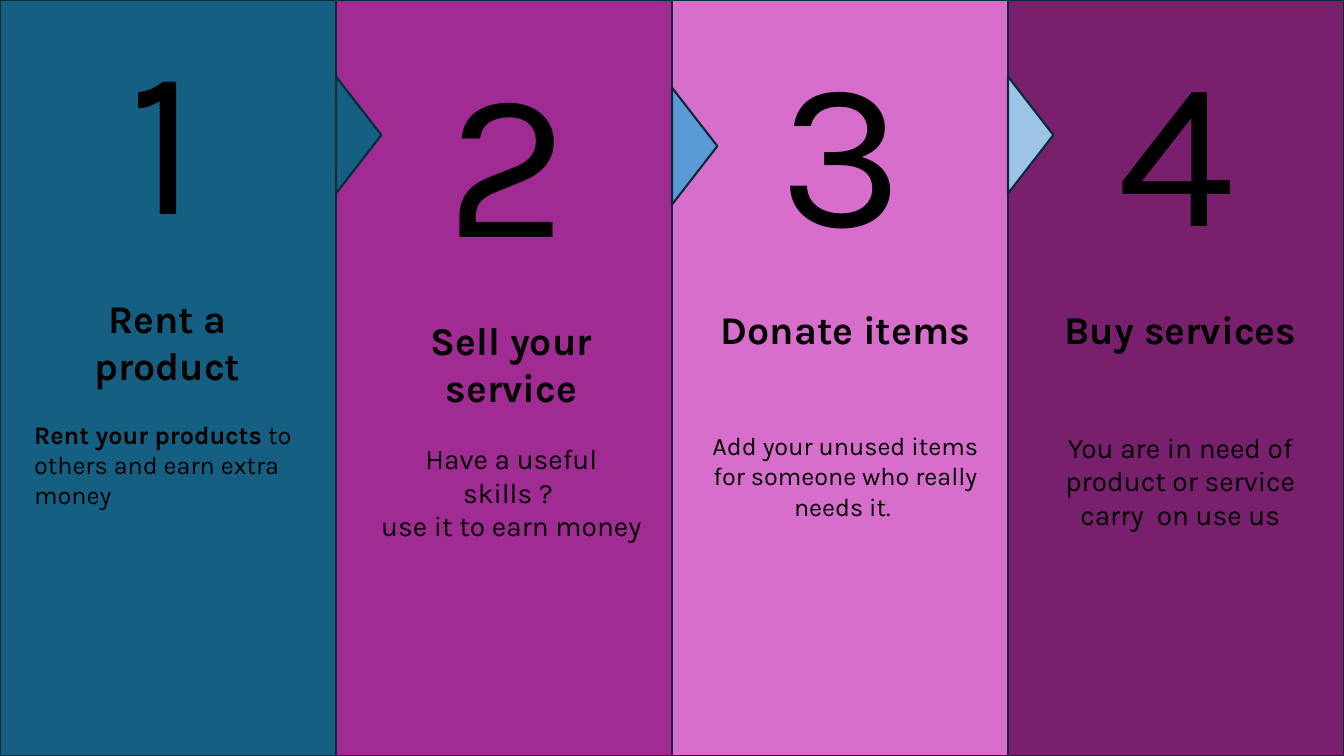
import pptx
import pptx.dml.color
import pptx.enum.shapes
import pptx.enum.text
import pptx.util

RGBColor = pptx.dml.color.RGBColor
Inches = pptx.util.Inches
Shape = pptx.enum.shapes.MSO_SHAPE
Align = pptx.enum.text.PP_ALIGN

BACKDROP = RGBColor(0x17, 0x17, 0x17)
OUTLINE = RGBColor(0x09, 0x2A, 0x39)
INK = RGBColor(0, 0, 0)
TEAL = RGBColor(0x15, 0x60, 0x82)
PURPLE = RGBColor(0xA0, 0x2B, 0x93)
PINK = RGBColor(0xD8, 0x6E, 0xCC)
PLUM = RGBColor(0x78, 0x20, 0x6E)
BLUE = RGBColor(0x5B, 0x9B, 0xD5)
PALE_BLUE = RGBColor(0x9D, 0xC3, 0xE6)

FONT = "Karla"
WIDTH, HEIGHT = 13.33, 7.5
COLUMN = WIDTH / 4
NUMBER_WIDTH, TEXT_WIDTH = 3.22, 2.84
TEXT_INDENT = 0.23
HEADING_DROP, BODY_DROP = 2.87, 4.11
ARROW_LENGTH, ARROW_SPAN = 0.45, 1.16

# Each body paragraph is a list of (text, bold) runs
STEPS = [
    dict(fill=TEAL, left=0.01, top=0, heading="Rent a product",
         body=[[("Rent your products", True),
                (" to others and earn extra money", False)]],
         size=18, align=Align.LEFT, arrow=TEAL, arrow_middle=1.34),
    dict(fill=PURPLE, left=0.09, top=0.22, heading="Sell your service",
         body=[[("Have a useful skills ? ", False)],
               [("use it to earn money ", False)]],
         size=20, align=Align.CENTER, arrow=BLUE, arrow_middle=1.45),
    dict(fill=PINK, left=0.07, top=0.11, heading="Donate items",
         body=[[("Add your unused items for someone who really needs it. ", False)]],
         size=18, align=Align.CENTER, arrow=PALE_BLUE, arrow_middle=1.34),
    dict(fill=PLUM, left=0.06, top=0.11, heading="Buy services",
         body=[[("You are in need of product or service carry  on use us", False)]],
         size=20, align=Align.CENTER, arrow=None, arrow_middle=None),
]


def add_outlined(shapes, kind, left, top, width, height, fill):
    shape = shapes.add_shape(kind, Inches(left), Inches(top),
                             Inches(width), Inches(height))
    shape.shadow.inherit = False
    shape.fill.solid()
    shape.fill.fore_color.rgb = fill
    shape.line.color.rgb = OUTLINE
    shape.line.width = pptx.util.Pt(1.5)
    return shape


def add_text(shapes, left, top, width, height, paragraphs, size, align=Align.CENTER):
    box = shapes.add_textbox(Inches(left), Inches(top), Inches(width), Inches(height))
    frame = box.text_frame
    frame.word_wrap = True
    frame.auto_size = pptx.enum.text.MSO_AUTO_SIZE.SHAPE_TO_FIT_TEXT
    for index, runs in enumerate(paragraphs):
        para = frame.add_paragraph() if index else frame.paragraphs[0]
        para.alignment = align
        for text, bold in runs:
            span = para.add_run()
            span.text = text
            span.font.name = FONT
            span.font.size = pptx.util.Pt(size)
            span.font.bold = bold
            span.font.color.rgb = INK


def add_arrow(shapes, edge, middle, fill):
    center = edge + ARROW_LENGTH / 2
    arrow = add_outlined(shapes, Shape.ISOSCELES_TRIANGLE,
                         center - ARROW_SPAN / 2, middle - ARROW_LENGTH / 2,
                         ARROW_SPAN, ARROW_LENGTH, fill)
    arrow.rotation = 90


def add_step(page, index, step):
    shapes = page.shapes.add_group_shape().shapes
    edge = index * COLUMN
    left, top = edge + step["left"], step["top"]
    add_outlined(shapes, Shape.RECTANGLE, edge, 0, COLUMN, HEIGHT, step["fill"])
    add_text(shapes, left, top, NUMBER_WIDTH, 2.72, [[(str(index + 1), False)]], 150)
    add_text(shapes, left + TEXT_INDENT, top + HEADING_DROP, TEXT_WIDTH, 0.57,
             [[(step["heading"], True)]], 28)
    add_text(shapes, left + TEXT_INDENT, top + BODY_DROP, TEXT_WIDTH, 1.01,
             step["body"], step["size"], step["align"])
    if step["arrow"] is not None:
        add_arrow(shapes, edge + COLUMN, step["arrow_middle"], step["arrow"])


def main():
    deck = pptx.Presentation()
    deck.slide_width, deck.slide_height = Inches(WIDTH), Inches(HEIGHT)
    page = deck.slides.add_slide(deck.slide_layouts[6])
    page.background.fill.solid()
    page.background.fill.fore_color.rgb = BACKDROP

    # Right to left, so each arrow lies over the next column
    for index, step in reversed(list(enumerate(STEPS))):
        add_step(page, index, step)

    deck.save("out.pptx")


if __name__ == "__main__":
    main()
